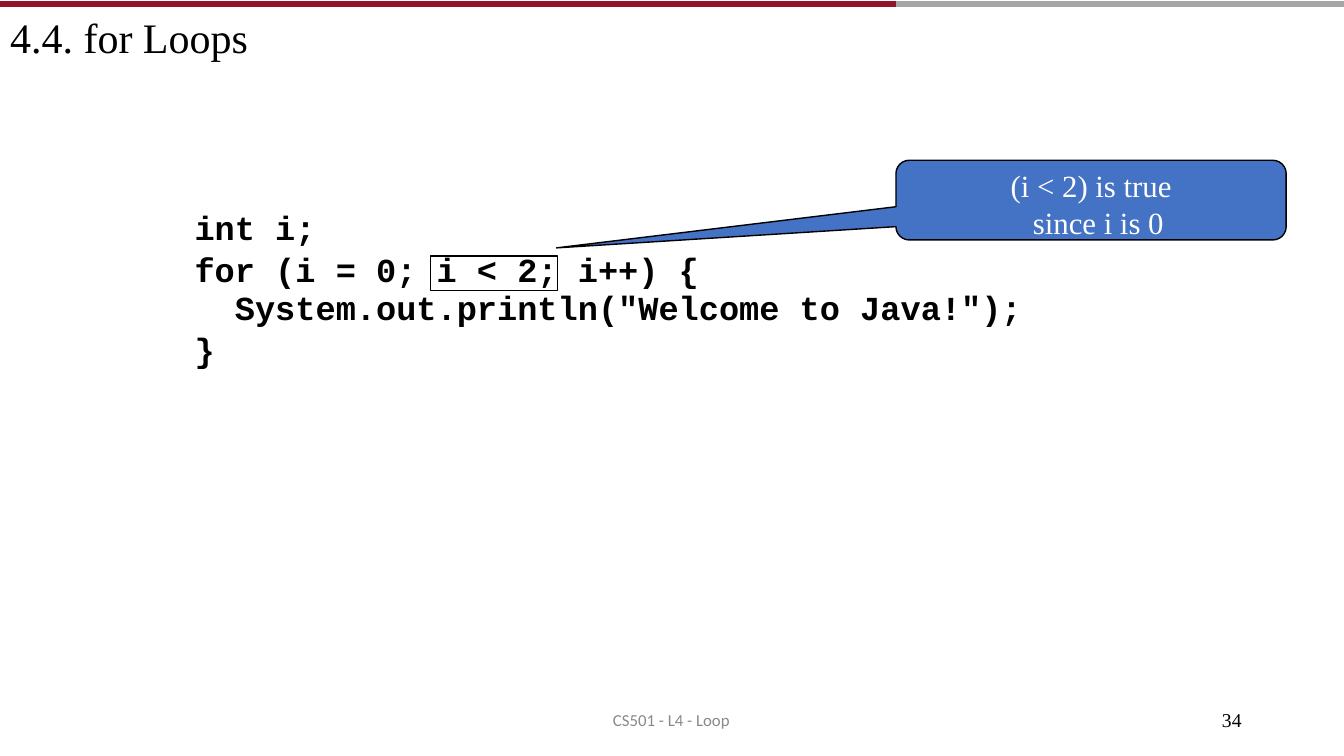
from pptx import Presentation
from pptx.dml.color import RGBColor
from pptx.enum.shapes import MSO_CONNECTOR as LINK, MSO_SHAPE as SHAPE
from pptx.enum.text import MSO_ANCHOR as ANCHOR, PP_ALIGN as ALIGN
from pptx.oxml.ns import qn
from pptx.util import Inches, Pt
from lxml import etree

W, H = 13.33, 7.5
SERIF = "Times New Roman"


def rgb(tint):
    return RGBColor.from_string(tint)


def write(box, lines, size, face, tint="000000", bold=False, inset=(0, 0)):
    """Fill a shape with left-aligned paragraphs; inset is left and top in inches."""
    frame = box.text_frame
    frame.word_wrap = True
    frame.vertical_anchor = ANCHOR.TOP
    frame.margin_left, frame.margin_top = map(Inches, inset)
    frame.margin_right = frame.margin_bottom = 0
    frame.text = "\n".join(lines)
    for para in frame.paragraphs:
        para.alignment = ALIGN.LEFT
        font = para.font
        font.size, font.name, font.bold = Pt(size), face, bold
        font.color.rgb = rgb(tint)
    return frame.paragraphs


deck = Presentation()
deck.slide_width, deck.slide_height = Inches(W), Inches(H)
slide = deck.slides.add_slide(deck.slide_layouts[5])
shapes = slide.shapes

# Rule along the top: two thirds red, one third grey
split = W * 2 / 3
for start, end, tint in [(split, W, "A6A6A6"), (0, split, "90152A")]:
    bar = shapes.add_connector(LINK.STRAIGHT, Inches(start), Inches(0.04),
                               Inches(end), Inches(0.04))
    bar.line.color.rgb = rgb(tint)
    bar.line.width = Pt(4)
    etree.SubElement(bar._element.spPr, qn("a:effectLst"))

title = shapes.title
title.left, title.top = Inches(0.1), Inches(0.11)
title.width, title.height = Inches(6), Inches(0.53)
write(title, ["4.4. for Loops"], 30, SERIF)

# Frame round the loop condition, and the callout that explains it
frame = shapes.add_shape(SHAPE.RECTANGLE, Inches(4.27), Inches(2.54),
                         Inches(1.26), Inches(0.34))
frame.fill.background()
note = shapes.add_shape(SHAPE.ROUNDED_RECTANGULAR_CALLOUT, Inches(split),
                        Inches(1.59), Inches(3.87), Inches(0.79))
note.adjustments[0] = -1.37
note.adjustments[1] = 0.6
note.fill.solid()
note.fill.fore_color.rgb = rgb("4472C4")
for shape in (frame, note):
    shape.shadow.inherit = False
    shape.line.color.rgb = rgb("000000")
    shape.line.width = Pt(1)

text = write(note, ["(i < 2) is true\vsince i is 0"], 22, SERIF, "FFFFFF",
             inset=(1.1, 0.02))[0]
text.line_spacing = Pt(26.5)
props = text._p.get_or_add_pPr()
props.set("marL", str(Inches(0.22)))
props.set("indent", str(-Inches(0.22)))

code = shapes.add_textbox(Inches(1.93), Inches(2.07), Inches(8.5), Inches(1.6))
lines = write(code, ["int i;",
                     "for (i = 0; i < 2; i++) {",
                     '  System.out.println("Welcome to Java!");',
                     "}"], 24, "Courier New", bold=True)
for line in lines:
    line.line_spacing = Pt(27.2)
for line in lines[1::2]:
    line.space_before = Pt(2.8)

foot = shapes.add_textbox(Inches(6.08), Inches(7.04), Inches(1.4), Inches(0.23))
write(foot, ["CS501 - L4 - Loop"], 12, "Calibri", "898989")
page = shapes.add_textbox(Inches(12.12), Inches(7.02), Inches(0.4), Inches(0.24))
write(page, ["34"], 14, SERIF)

deck.save("out.pptx")
